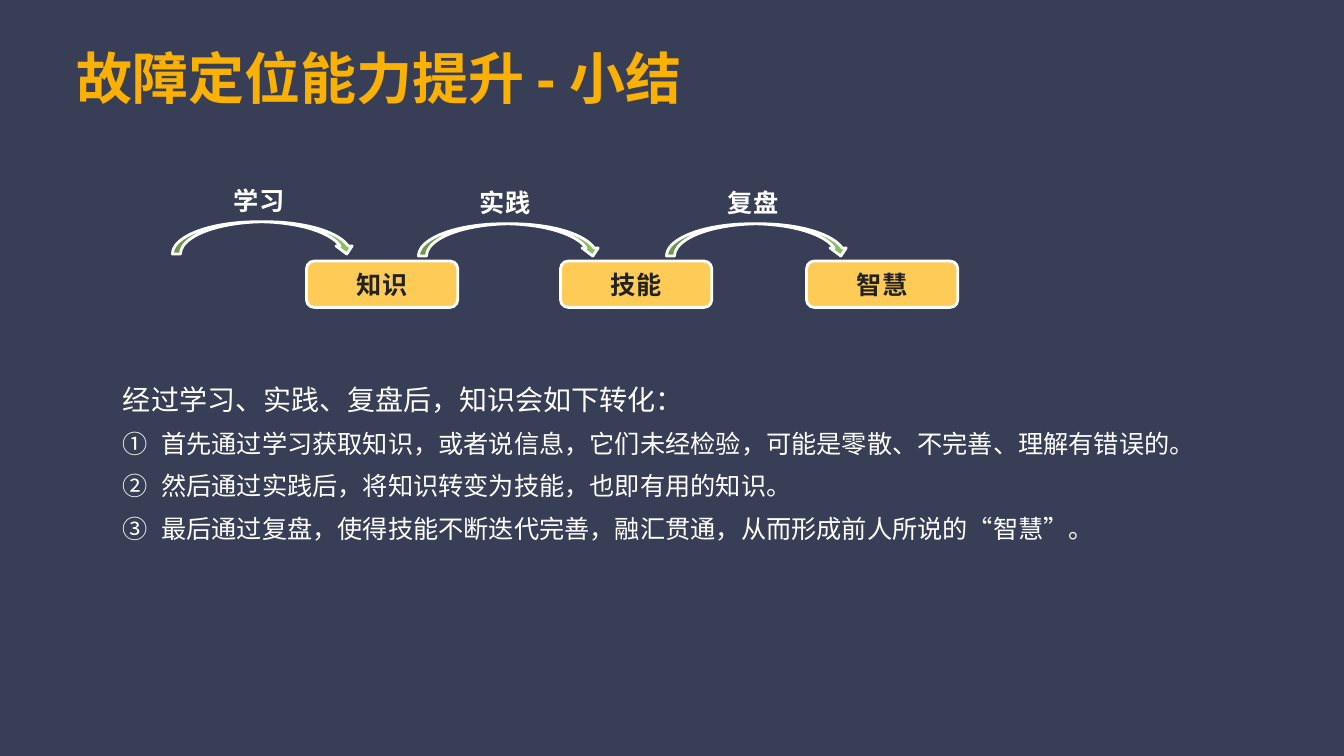
from lxml.etree import SubElement
from pptx import Presentation
from pptx.dml.color import RGBColor
from pptx.enum.shapes import MSO_SHAPE as Shape
from pptx.enum.text import MSO_ANCHOR as Anchor, PP_ALIGN as Align
from pptx.oxml.ns import qn
from pptx.util import Inches, Pt

CELL = Inches(0.1)
FONT = "Open Sans"
NAVY, AMBER, YELLOW, GREEN, WHITE, INK = (
    "373E56", "FBB103", "FDCB56", "8ABE5E", "FFFFFF", "222222")
STEPS = [
    ("学习", "知识", (17.1, 22), 30.4),
    ("实践", "技能", (41.5, 22.2), 55.6),
    ("复盘", "智慧", (66.1, 22.2), 80),
]
INTRO = "经过学习、实践、复盘后，知识会如下转化："
POINTS = [
    "首先通过学习获取知识，或者说信息，它们未经检验，可能是零散、不完善、理解有错误的。",
    "然后通过实践后，将知识转变为技能，也即有用的知识。",
    "最后通过复盘，使得技能不断迭代完善，融汇贯通，从而形成前人所说的“智慧”。",
]


def color(value):
    """Turn a hex string into a colour."""
    return RGBColor.from_string(value)


def grid(*cells):
    """Turn counts of grid cells into lengths."""
    return [round(count * CELL) for count in cells]


def style(para, size, tint, bold=False, align=Align.LEFT):
    """Set the font and alignment of a paragraph."""
    para.alignment = align
    para.font.name = FONT
    para.font.size = Pt(size)
    para.font.bold = bold
    para.font.color.rgb = color(tint)


def prepare(frame, inset=0.6):
    """Set wrapping, anchor and insets of a text frame."""
    frame.word_wrap = True
    frame.vertical_anchor = Anchor.MIDDLE
    (margin,) = grid(inset)
    frame.margin_left = frame.margin_right = margin
    frame.margin_top = frame.margin_bottom = margin


def add_title(page, box, text):
    """Place the slide title in its box."""
    title = page.shapes.title
    title.left, title.top, title.width, title.height = grid(*box)
    prepare(title.text_frame, 0.8)
    title.text_frame.text = text
    style(title.text_frame.paragraphs[0], 40, AMBER, bold=True)


def add_outlined(page, kind, box, fill):
    """Add a filled shape with a white outline."""
    shape = page.shapes.add_shape(kind, *grid(*box))
    shape.shadow.inherit = False
    shape.fill.solid()
    shape.fill.fore_color.rgb = color(fill)
    shape.line.color.rgb = color(WHITE)
    shape.line.width = Pt(2)
    return shape


def add_step(page, action, result, corner, result_left):
    """Draw an action over its curved arrow, and the result it leads to."""
    left, top = corner
    card = add_outlined(page, Shape.ROUNDED_RECTANGLE, (result_left, 25.9, 15, 4.6), YELLOW)
    add_outlined(page, Shape.CURVED_DOWN_ARROW, (left, top, 18.1, 3.2), GREEN)
    label = page.shapes.add_textbox(*grid(left + 5.5, top - 4.2, 7.3, 4.1))
    for shape, text, tint, align in (
            (card, result, INK, Align.CENTER), (label, action, WHITE, Align.LEFT)):
        prepare(shape.text_frame)
        shape.text_frame.text = text
        style(shape.text_frame.paragraphs[0], 18, tint, True, align)


def number(para):
    """Give a paragraph a circled number and a hanging indent."""
    props = para._p.get_or_add_pPr()
    (indent,) = grid(3.8)
    props.set("marL", str(indent))
    props.set("indent", str(-indent))
    SubElement(props, qn("a:buFont"), typeface="+mj-ea")
    SubElement(props, qn("a:buAutoNum"), type="circleNumDbPlain")


def add_summary(page, box):
    """Write the introduction and the numbered points."""
    frame = page.shapes.add_textbox(*grid(*box)).text_frame
    prepare(frame)
    frame.text = "\n".join([INTRO, *POINTS])
    intro, *points = frame.paragraphs
    style(intro, 20, WHITE)
    for para in frame.paragraphs:
        para.line_spacing = 1.4
    for para in points:
        style(para, 18, WHITE)
        number(para)


def main():
    """Build the slide and save the deck."""
    deck = Presentation()
    deck.slide_width, deck.slide_height = Inches(13.33), Inches(7.5)
    page = deck.slides.add_slide(deck.slide_layouts[5])
    page.background.fill.solid()
    page.background.fill.fore_color.rgb = color(NAVY)
    add_title(page, (6.8, 2.2, 116.4, 10.9), "故障定位能力提升 - 小结")
    add_summary(page, (11.6, 35.9, 108.8, 18.7))
    for step in STEPS:
        add_step(page, *step)
    deck.save("out.pptx")


if __name__ == "__main__":
    main()
